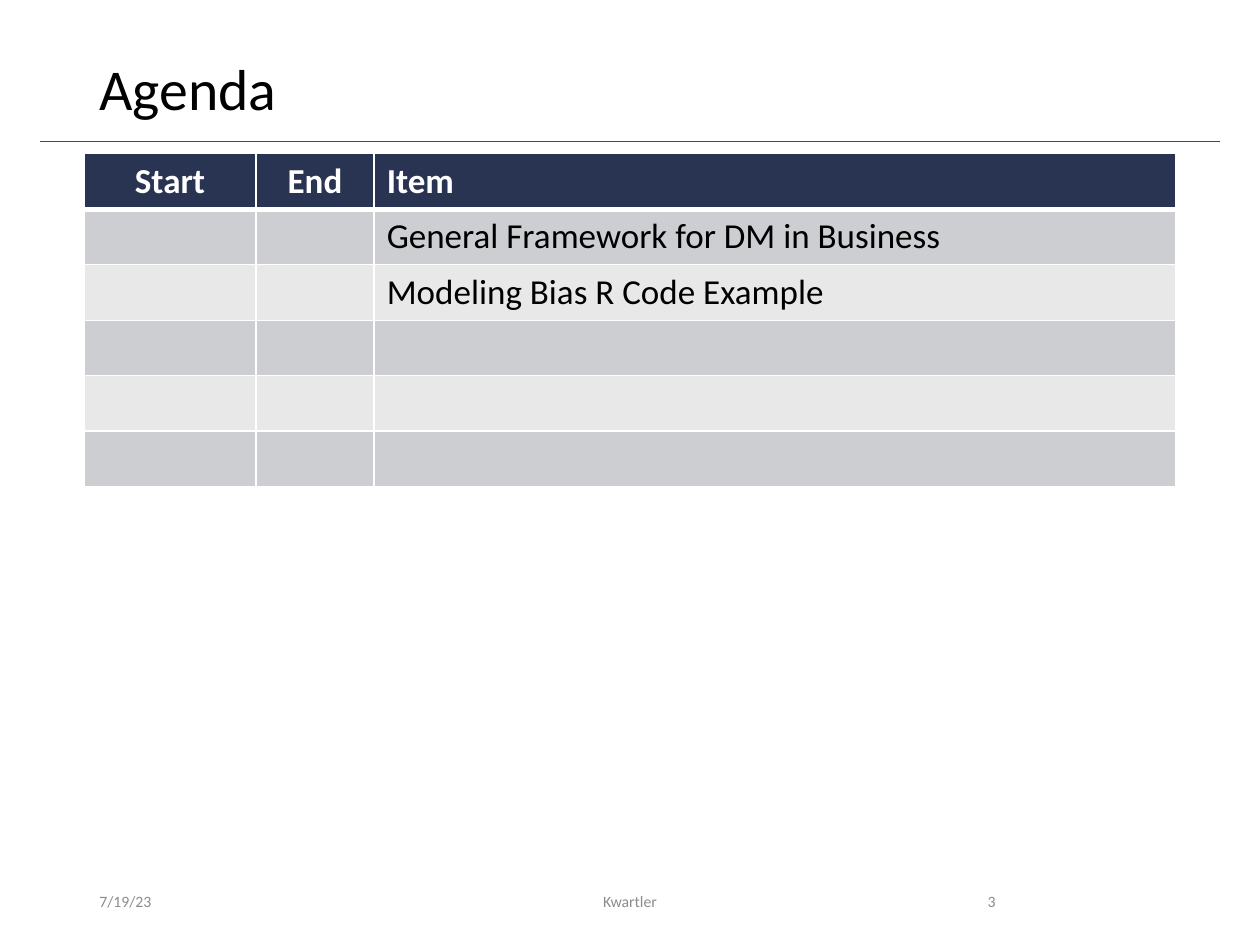
"""Build the agenda slide with its schedule table and footer."""
from dataclasses import dataclass

from lxml import etree
from pptx import Presentation
from pptx.dml.color import RGBColor
from pptx.enum.shapes import MSO_CONNECTOR
from pptx.enum.text import MSO_ANCHOR, PP_ALIGN
from pptx.oxml.ns import qn
from pptx.util import Inches, Pt

LEFT, CENTER, RIGHT = PP_ALIGN.LEFT, PP_ALIGN.CENTER, PP_ALIGN.RIGHT
MIDDLE = MSO_ANCHOR.MIDDLE
STRAIGHT = MSO_CONNECTOR.STRAIGHT
FONT = "Calibri"
TITLE_ONLY = 5
COLORS = {
    "rule": "A51C30",
    "header": "293352",
    "odd": "CDCED1",
    "even": "E8E8E9",
    "white": "FFFFFF",
    "black": "000000",
    "footer": "8C8C8C",
}


@dataclass(frozen=True)
class Column:
    heading: str
    width: float
    align: PP_ALIGN


@dataclass(frozen=True)
class FooterItem:
    text: str
    left: float
    width: float
    align: PP_ALIGN


COLUMNS = [
    Column("Start", 1.36, CENTER),
    Column("End", 0.94, CENTER),
    Column("Item", 6.36, LEFT),
]
AGENDA = [
    ("", "", "General Framework for DM in Business"),
    ("", "", "Modeling Bias R Code Example"),
    ("", "", ""),
    ("", "", ""),
    ("", "", ""),
]
FOOTER = [
    FooterItem("7/19/23", 0.69, 2.25, LEFT),
    FooterItem("3", 7.06, 0.94, RIGHT),
    FooterItem("Kwartler", 3.31, 3.38, CENTER),
]
ROW_HEIGHT = 0.44


def rgb(name: str) -> RGBColor:
    return RGBColor.from_string(COLORS[name])


def write(frame, text: str, size: float, color: str, align=LEFT, bold=False) -> None:
    paragraph = frame.paragraphs[0]
    paragraph.alignment = align
    run = paragraph.add_run()
    run.text = text
    run.font.name = FONT
    run.font.size = Pt(size)
    run.font.bold = bold
    run.font.color.rgb = rgb(color)


def set_borders(cell, top: float, bottom: float) -> None:
    properties = cell._tc.get_or_add_tcPr()
    widths = {"a:lnL": 1, "a:lnR": 1, "a:lnT": top, "a:lnB": bottom}
    for position, (tag, width) in enumerate(widths.items()):
        border = etree.Element(qn(tag), w=str(Pt(width)))
        fill = etree.SubElement(border, qn("a:solidFill"))
        etree.SubElement(fill, qn("a:srgbClr"), val=COLORS["white"])
        properties.insert(position, border)


def add_title(slide, text: str) -> None:
    title = slide.shapes.title
    title.left, title.top = Inches(0.69), Inches(0.4)
    title.width, title.height = Inches(8.62), Inches(0.65)
    title.text_frame.vertical_anchor = MIDDLE
    write(title.text_frame, text, 33, "black")
    title.text_frame.paragraphs[0].line_spacing = 0.9


def add_rule(slide) -> None:
    rule = slide.shapes.add_connector(
        STRAIGHT, Inches(0.32), Inches(1.12), Inches(9.68), Inches(1.12)
    )
    rule.line.color.rgb = rgb("rule")
    rule.line.width = Pt(0.5)
    etree.SubElement(rule._element.spPr, qn("a:effectLst"))


def add_agenda(slide) -> None:
    rows = [tuple(column.heading for column in COLUMNS), *AGENDA]
    agenda = slide.shapes.add_table(
        len(rows), len(COLUMNS), Inches(0.67), Inches(1.22),
        Inches(sum(column.width for column in COLUMNS)),
        Inches(ROW_HEIGHT * len(rows)),
    ).table
    for index, column in enumerate(COLUMNS):
        agenda.columns[index].width = Inches(column.width)
    for row, entries in enumerate(rows):
        agenda.rows[row].height = Inches(ROW_HEIGHT)
        heading = row == 0
        band = "header" if heading else ("even", "odd")[row % 2]
        for index, (column, entry) in enumerate(zip(COLUMNS, entries)):
            cell = agenda.cell(row, index)
            cell.fill.solid()
            cell.fill.fore_color.rgb = rgb(band)
            set_borders(cell, 3 if row == 1 else 1, 3 if heading else 1)
            if entry:
                ink = "white" if heading else "black"
                write(cell.text_frame, entry, 20, ink, column.align, heading)


def add_footer_item(slide, item: FooterItem) -> None:
    box = slide.shapes.add_textbox(
        Inches(item.left), Inches(6.95), Inches(item.width), Inches(0.4)
    )
    box.text_frame.word_wrap = True
    box.text_frame.vertical_anchor = MIDDLE
    write(box.text_frame, item.text, 9, "footer", item.align)


def main() -> None:
    deck = Presentation()
    deck.slide_width, deck.slide_height = Inches(10), Inches(7.5)
    slide = deck.slides.add_slide(deck.slide_layouts[TITLE_ONLY])
    add_rule(slide)
    add_title(slide, "Agenda")
    add_agenda(slide)
    for item in FOOTER:
        add_footer_item(slide, item)
    deck.save("out.pptx")


main()
